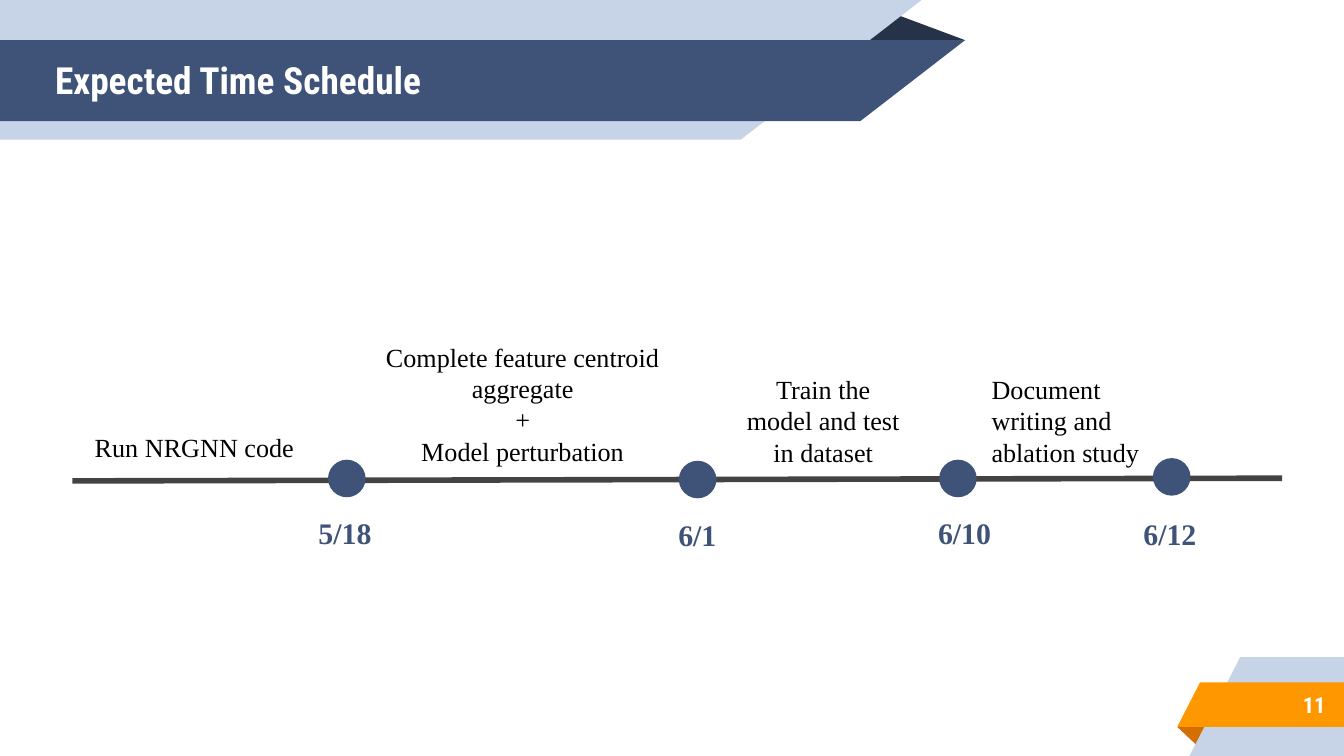
import pptx
import pptx.dml.color
import pptx.enum.shapes
import pptx.enum.text
import pptx.oxml.ns
import pptx.util
from lxml import etree

Cm = pptx.util.Cm
Pt = pptx.util.Pt
Kind = pptx.enum.shapes.MSO_SHAPE
Align = pptx.enum.text.PP_ALIGN
Anchor = pptx.enum.text.MSO_ANCHOR
Fit = pptx.enum.text.MSO_AUTO_SIZE

WIDE, HIGH = 25.4, 14.29
NAVY, DARK, PALE = "3F5378", "263248", "C7D3E6"
GOLD, RUST, GREY = "FF9800", "D26F00", "434343"
WHITE, BLACK = "FFFFFF", "000000"
HEAD, BODY = "Roboto Condensed", "Times New Roman"


def tint(code):
    return pptx.dml.color.RGBColor.from_string(code)


class Deck:
    def __init__(self):
        self.file = pptx.Presentation()
        self.file.slide_width = Cm(WIDE)
        self.file.slide_height = Cm(HIGH)
        self.slide = self.file.slides.add_slide(self.file.slide_layouts[5])
        self.shapes = self.slide.shapes

    def paint(self, shape, color):
        shape.shadow.inherit = False
        shape.fill.solid()
        shape.fill.fore_color.rgb = tint(color)
        shape.line.fill.background()

    def place(self, shape, box):
        shape.left, shape.top, shape.width, shape.height = map(Cm, box)

    def band(self, points, color):
        pen = self.shapes.build_freeform(*map(Cm, points[0]))
        pen.add_line_segments([(Cm(x), Cm(y)) for x, y in points[1:]])
        self.paint(pen.convert_to_shape(), color)

    def fold(self, box, color, turn=0):
        shape = self.shapes.add_shape(Kind.ISOSCELES_TRIANGLE, *map(Cm, box))
        shape.adjustments[0] = 0.32
        shape.rotation = turn
        self.paint(shape, color)

    def dot(self, left, top, size):
        shape = self.shapes.add_shape(
            Kind.OVAL, Cm(left), Cm(top), Cm(size), Cm(size))
        self.paint(shape, NAVY)

    def line(self, start, end, color, width):
        rule = self.shapes.add_connector(
            pptx.enum.shapes.MSO_CONNECTOR.STRAIGHT,
            *map(Cm, start + end))
        rule.line.color.rgb = tint(color)
        rule.line.width = Pt(width)
        props = rule.element.spPr
        etree.SubElement(props, pptx.oxml.ns.qn("a:effectLst"))

    def style(self, shape, text, font, size, color, bold=False,
              align=Align.LEFT):
        frame = shape.text_frame
        frame.text = text
        for para in frame.paragraphs:
            para.alignment = align
            for run in para.runs:
                run.font.name = font
                run.font.size = Pt(size)
                run.font.bold = bold
                run.font.color.rgb = tint(color)

    def head(self, shape, text, size, align=Align.LEFT):
        frame = shape.text_frame
        frame.word_wrap = True
        frame.auto_size = Fit.NONE
        frame.vertical_anchor = Anchor.MIDDLE
        frame.margin_left = frame.margin_right = Cm(0.25)
        frame.margin_top = frame.margin_bottom = Cm(0.25)
        self.style(shape, text, HEAD, size, WHITE, True, align)

    def title(self, text, box):
        shape = self.shapes.title
        shape.element.getparent().append(shape.element)
        self.place(shape, box)
        self.head(shape, text, 20)

    def number(self, text, box):
        shape = self.shapes.add_textbox(*map(Cm, box))
        self.head(shape, text, 12, Align.RIGHT)

    def label(self, text, box, size, color, bold=False, wrap=True,
              align=Align.LEFT):
        shape = self.shapes.add_textbox(*map(Cm, box))
        shape.text_frame.word_wrap = wrap
        shape.text_frame.auto_size = Fit.SHAPE_TO_FIT_TEXT
        self.style(shape, text, BODY, size, color, bold, align)


def main():
    deck = Deck()
    deck.fold((16.23, 0.25, 2.01, 0.51), DARK)
    deck.band([(0, 0), (17.42, 0), (14, 2.64), (0, 2.64)], PALE)
    deck.band([(0, 0.76), (18.24, 0.76), (16.26, 2.29), (0, 2.29)], NAVY)
    deck.fold((22.25, 13.74, 0.56, 0.36), RUST, 180)
    deck.band([(WIDE, 12.42), (23.44, 12.42), (22.48, HIGH), (WIDE, HIGH)],
              PALE)
    deck.band([(WIDE, 12.9), (22.68, 12.9), (22.25, 13.74), (WIDE, 13.74)],
              GOLD)
    deck.title("Expected Time Schedule", (0.79, 0.71, 14.88, 1.57))
    deck.number("11", (21.16, 12.88, 4.14, 0.89))

    deck.line((1.37, 9.09), (24.23, 9.04), GREY, 3)
    marks = [
        ("5/18", 6.2, 8.69, 5.77, 9.6, 1.52),
        ("6/1", 12.83, 8.71, 12.57, 9.65, 1.24),
        ("6/10", 17.75, 8.69, 17.48, 9.6, 1.52),
        ("6/12", 21.79, 8.66, 21.36, 9.63, 1.52),
    ]
    for date, x, y, left, top, width in marks:
        deck.dot(x, y, 0.71)
        deck.label(date, (left, top, width, 0.94), 16, NAVY, True, False)

    tasks = [
        ("Run NRGNN code", (1.2, 8.03, 4.95, 0.86), Align.CENTER),
        ("Complete feature centroid aggregate\n+\nModel perturbation",
         (6.68, 6.32, 6.4, 2.64), Align.CENTER),
        ("Train the model and test in dataset",
         (13.82, 6.93, 3.48, 2.06), Align.CENTER),
        ("Document writing and ablation study",
         (18.49, 6.93, 3.48, 2.06), Align.LEFT),
    ]
    for text, box, align in tasks:
        deck.label(text, box, 14, BLACK, align=align)

    deck.file.save("out.pptx")


if __name__ == "__main__":
    main()
